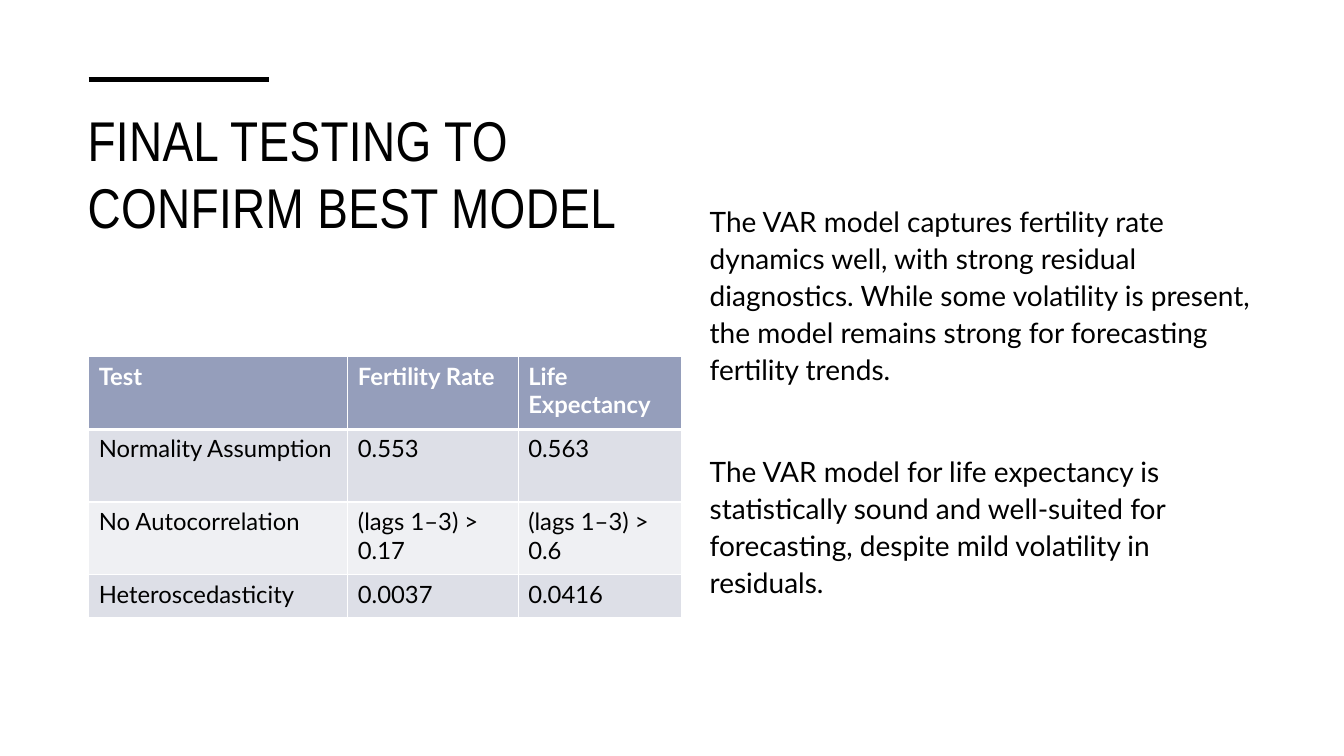
import dataclasses

import lxml.etree
import pptx
import pptx.dml.color
import pptx.enum.shapes
import pptx.oxml.ns
import pptx.util

Inches = pptx.util.Inches
Pt = pptx.util.Pt


@dataclasses.dataclass(frozen=True)
class Theme:
    """Colours, fonts and type sizes of the slide."""
    ink: str = "000000"
    paper: str = "FFFFFF"
    header: str = "959EBB"
    bands: tuple = ("DDDFE7", "EFF0F3")
    title_font: str = "Arial Narrow"
    text_font: str = "Lato"
    title_size: float = 40
    body_size: float = 20
    table_size: float = 17


THEME = Theme()
TITLE = "FINAL TESTING TO CONFIRM BEST MODEL"
FINDINGS = [
    "The VAR model captures fertility rate dynamics well, with strong residual "
    "diagnostics. While some volatility is present, the model remains strong "
    "for forecasting fertility trends.",
    "The VAR model for life expectancy is statistically sound and well-suited "
    "for forecasting, despite mild volatility in residuals.",
]
TEST_ROWS = [
    ["Test", "Fertility Rate", "Life Expectancy"],
    ["Normality Assumption", "0.553", "0.563"],
    ["No Autocorrelation", "(lags 1–3) > 0.17", "(lags 1–3) > 0.6"],
    ["Heteroscedasticity", "0.0037", "0.0416"],
]
COLUMN_WIDTHS = [2.57, 1.69, 1.62]
ROW_HEIGHTS = [0.72, 0.72, 0.72, 0.43]


def rgb(value):
    """Turn a hex string into a colour."""
    return pptx.dml.color.RGBColor.from_string(value)


def write_text(para, text, *, font, size, color=THEME.ink, bold=False,
               tracking=None, line_spacing=None, space_before=None):
    """Write formatted text into a paragraph."""
    if line_spacing is not None:
        para.line_spacing = line_spacing
    if space_before is not None:
        para.space_before = Pt(space_before)
    span = para.add_run()
    span.text = text
    span.font.name = font
    span.font.size = Pt(size)
    span.font.bold = bold
    span.font.color.rgb = rgb(color)
    if tracking is not None:
        span.font._element.set("spc", str(round(tracking * 100)))


def add_text_frame(page, box):
    """Add a wrapping text box and return its frame."""
    frame = page.shapes.add_textbox(*map(Inches, box)).text_frame
    frame.word_wrap = True
    return frame


def add_title(page, box):
    """Place the title with the accent rule above it."""
    left, top, width, height = box
    rule_left, rule_top = left + 0.11, top - 0.21
    rule = page.shapes.add_connector(
        pptx.enum.shapes.MSO_CONNECTOR.STRAIGHT, Inches(rule_left),
        Inches(rule_top), Inches(rule_left + 1.79), Inches(rule_top))
    rule.line.color.rgb = rgb(THEME.ink)
    rule.line.width = Pt(3.5)
    lxml.etree.SubElement(rule._element.spPr, pptx.oxml.ns.qn("a:effectLst"))
    write_text(add_text_frame(page, box).paragraphs[0], TITLE,
               font=THEME.title_font, size=THEME.title_size, tracking=0.3)


def add_findings(page, box):
    """Place the two findings as widely spaced paragraphs."""
    frame = add_text_frame(page, box)
    for index, finding in enumerate(FINDINGS):
        para = frame.add_paragraph() if index else frame.paragraphs[0]
        write_text(para, finding, font=THEME.text_font, size=THEME.body_size,
                   line_spacing=1.1, space_before=46.4 if index else 0)


def set_borders(cell, widths):
    """Draw the cell borders, given as a width for each side."""
    properties = cell._tc.get_or_add_tcPr()
    for index, (side, width) in enumerate(widths.items()):
        line = lxml.etree.Element(pptx.oxml.ns.qn(f"a:ln{side}"), w=str(Pt(width)))
        fill = lxml.etree.SubElement(line, pptx.oxml.ns.qn("a:solidFill"))
        lxml.etree.SubElement(fill, pptx.oxml.ns.qn("a:srgbClr"), val=THEME.paper)
        properties.insert(index, line)


def add_test_table(page, box):
    """Place the table of diagnostic tests."""
    table = page.shapes.add_table(
        len(TEST_ROWS), len(COLUMN_WIDTHS), *map(Inches, box)).table
    for column, width in zip(table.columns, COLUMN_WIDTHS):
        column.width = Inches(width)
    for row_index, (row, height) in enumerate(zip(table.rows, ROW_HEIGHTS)):
        row.height = Inches(height)
        is_header = row_index == 0
        fill = THEME.header if is_header else THEME.bands[(row_index - 1) % 2]
        for cell, text in zip(row.cells, TEST_ROWS[row_index]):
            cell.fill.solid()
            cell.fill.fore_color.rgb = rgb(fill)
            set_borders(cell, {"L": 1, "R": 1, "T": 3 if row_index == 1 else 1,
                               "B": 3 if is_header else 1})
            write_text(cell.text_frame.paragraphs[0], text,
                       font=THEME.text_font, size=THEME.table_size,
                       color=THEME.paper if is_header else THEME.ink,
                       bold=is_header)


def main():
    """Build the slide and save the deck."""
    deck = pptx.Presentation()
    deck.slide_width, deck.slide_height = Inches(13.33), Inches(7.5)
    page = deck.slides.add_slide(deck.slide_layouts[6])
    page.background.fill.solid()
    page.background.fill.fore_color.rgb = rgb(THEME.paper)
    add_title(page, (0.77, 1, 5.73, 1.77))
    add_findings(page, (6.94, 1.95, 5.62, 4.33))
    add_test_table(page, (0.88, 3.54, sum(COLUMN_WIDTHS), sum(ROW_HEIGHTS)))
    deck.save("out.pptx")


if __name__ == "__main__":
    main()
